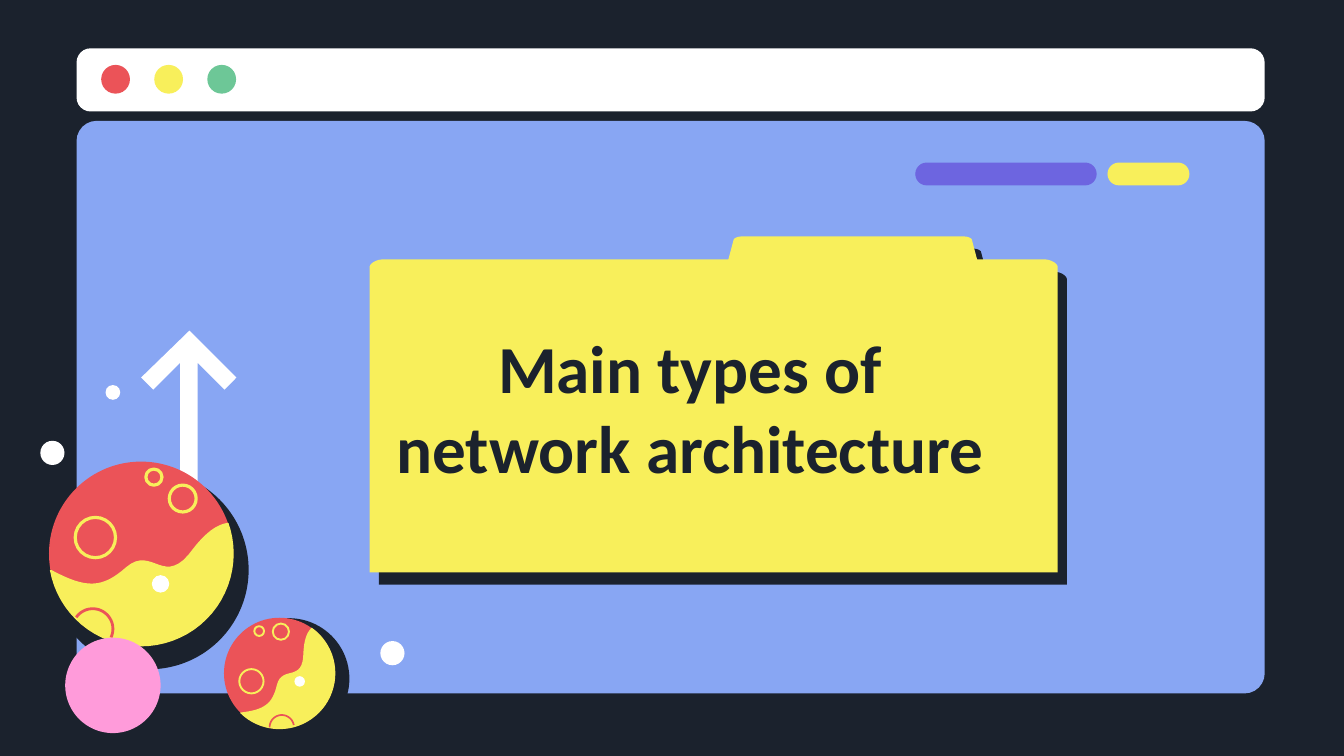
from dataclasses import dataclass
from math import cos, hypot, radians, sin

from lxml import etree
from pptx import Presentation
from pptx.dml.color import RGBColor
from pptx.enum.shapes import MSO_SHAPE as SHAPE
from pptx.enum.text import MSO_ANCHOR, MSO_AUTO_SIZE, PP_ALIGN
from pptx.oxml.ns import qn
from pptx.util import Inches, Pt

Point = tuple[float, float]

SLIDE_W = 10
SLIDE_H = SLIDE_W * 9 / 16
DARK, WHITE, BLUE = "1B222D", "FFFFFF", "88A6F3"
RED, YELLOW, GREEN = "EB5358", "F8EF5B", "6DC797"
PURPLE, PINK = "6D65E0", "FF9BDA"


@dataclass
class Dot:
    x: float
    y: float
    r: float
    color: str


@dataclass
class Bar:
    x: float
    y: float
    w: float
    h: float
    color: str
    rounding: float


@dataclass
class Planet:
    x: float
    y: float
    r: float
    turn: float
    shadow: Dot


BARS = [
    Bar(0.57, 0.9, 8.84, 4.26, BLUE, 0.035),
    Bar(0.57, 0.36, 8.84, 0.47, WHITE, 0.223),
    Bar(6.81, 1.21, 1.35, 0.17, PURPLE, 0.5),
    Bar(8.24, 1.21, 0.61, 0.17, YELLOW, 0.5),
]
BUTTONS = [Dot(0.86 + 0.395 * i, 0.59, 0.107, color)
           for i, color in enumerate((RED, YELLOW, GREEN))]
ARROW = [(1.34, 4.29), (1.34, 2.7), (1.14, 2.9), (1.05, 2.81), (1.41, 2.46),
         (1.76, 2.81), (1.67, 2.9), (1.47, 2.7), (1.47, 4.29)]
# A step of one point is a line, a step of three points is a Bézier curve.
FOLDER = [
    [(7.87, 1.99)], [(7.87, 4.26)], [(2.75, 4.26)], [(2.75, 1.99)],
    [(2.75, 1.96), (2.8, 1.93), (2.86, 1.93)], [(5.42, 1.93)], [(5.46, 1.78)],
    [(5.47, 1.77), (5.49, 1.76), (5.52, 1.76)], [(7.17, 1.76)],
    [(7.2, 1.76), (7.22, 1.77), (7.23, 1.78)], [(7.27, 1.93)], [(7.76, 1.93)],
    [(7.82, 1.93), (7.87, 1.96), (7.87, 1.99)],
]
# Planet details are measured from the centre of a planet of this radius.
PLANET_R = 0.685
COAST = [
    [(-0.67, 0.12)],
    [(-0.41, 0.26), (-0.29, 0.26), (-0.11, 0.1)],
    [(0.09, -0.07), (0.17, 0.27), (0.39, -0.04)],
    [(0.5, -0.18), (0.58, -0.22), (0.65, -0.23)],
]
CRATERS = [Dot(0.31, -0.41, 0.1, YELLOW), Dot(-0.34, -0.12, 0.15, YELLOW),
           Dot(0.095, -0.57, 0.06, YELLOW)]
PLANETS = [
    Planet(1.05, 4.12, PLANET_R, 0, Dot(1.11, 4.24, 0.74, DARK)),
    Planet(2.08, 5.01, 0.413, -35.2, Dot(2.15, 5.05, 0.45, DARK)),
]


def rgb(color: str) -> RGBColor:
    return RGBColor.from_string(color)


def paint(sp, fill: str | None = None, line: str | None = None, width: float = 1):
    sp.shadow.inherit = False
    if fill:
        sp.fill.solid()
        sp.fill.fore_color.rgb = rgb(fill)
    else:
        sp.fill.background()
    if line:
        sp.line.color.rgb = rgb(line)
        sp.line.width = Pt(width)
    else:
        sp.line.fill.background()
    return sp


def add_bar(shapes, bar: Bar):
    sp = shapes.add_shape(SHAPE.ROUNDED_RECTANGLE, Inches(bar.x), Inches(bar.y),
                          Inches(bar.w), Inches(bar.h))
    sp.adjustments[0] = bar.rounding
    return paint(sp, bar.color)


def add_dot(shapes, dot: Dot, ring_width: float | None = None):
    """Draw a filled circle, or a ring when ring_width is given."""
    sp = shapes.add_shape(SHAPE.OVAL, Inches(dot.x - dot.r), Inches(dot.y - dot.r),
                          Inches(2 * dot.r), Inches(2 * dot.r))
    if ring_width:
        return paint(sp, line=dot.color, width=ring_width)
    return paint(sp, dot.color)


def add_path(shapes, points: list[Point], closed: bool = True, **look):
    emu = [(Inches(x), Inches(y)) for x, y in points]
    builder = shapes.build_freeform(*emu[0])
    builder.add_line_segments(emu[1:], close=closed)
    return paint(builder.convert_to_shape(), **look)


def trace(steps: list[list[Point]], n: int = 16) -> list[Point]:
    """Turn lines and Bézier curves into a list of points."""
    points = []
    for step in steps:
        if len(step) == 1:
            points += step
            continue
        ctrl = [points[-1], *step]
        for t in (i / n for i in range(1, n + 1)):
            weights = ((1 - t) ** 3, 3 * t * (1 - t) ** 2, 3 * t * t * (1 - t), t ** 3)
            points.append(tuple(sum(w * p[axis] for w, p in zip(weights, ctrl))
                                for axis in (0, 1)))
    return points


def arc(x: float, y: float, r: float, start: int, end: int) -> list[Point]:
    return [(x + r * cos(radians(a)), y + r * sin(radians(a)))
            for a in range(start, end + 1, 5)]


def add_planet(shapes, planet: Planet):
    scale, turn = planet.r / PLANET_R, radians(planet.turn)

    def place(p: Point) -> Point:
        return (planet.x + scale * (p[0] * cos(turn) - p[1] * sin(turn)),
                planet.y + scale * (p[0] * sin(turn) + p[1] * cos(turn)))

    def place_dot(dot: Dot) -> Dot:
        return Dot(*place((dot.x, dot.y)), dot.r * scale, dot.color)

    group = shapes.add_group_shape().shapes
    add_dot(group, planet.shadow)
    add_dot(group, Dot(planet.x, planet.y, planet.r, RED))
    for crater in CRATERS:
        add_dot(group, place_dot(crater), ring_width=1.7 * scale)
    land = trace(COAST) + arc(0, 0, hypot(0.65, 0.23), -15, 170)
    add_path(group, [place(p) for p in land], fill=YELLOW)
    rim = arc(-0.36, 0.56, 0.15, -145, 25)
    add_path(group, [place(p) for p in rim], closed=False, line=RED, width=1.5 * scale)
    add_dot(group, place_dot(Dot(0.145, 0.225, 0.065, WHITE)))


def add_shadow(sp, color: str, distance: float, angle: float):
    effects = sp.element.spPr.find(qn("a:effectLst"))
    shadow = etree.SubElement(effects, qn("a:outerShdw"), dist=str(Pt(distance)),
                              dir=str(int(angle * 60000)), algn="bl", rotWithShape="0")
    etree.SubElement(shadow, qn("a:srgbClr"), val=color)


def write(tf, text: str, *, size: float, color: str, font: str = "Calibri",
          bold: bool = False, align=PP_ALIGN.CENTER):
    p = tf.paragraphs[0]
    p.alignment = align
    r = p.add_run()
    r.text = text
    r.font.size, r.font.name, r.font.bold = Pt(size), font, bold
    r.font.color.rgb = rgb(color)


def main():
    prs = Presentation()
    prs.slide_width, prs.slide_height = Inches(SLIDE_W), Inches(SLIDE_H)
    s = prs.slides.add_slide(prs.slide_layouts[5])
    s.background.fill.solid()
    s.background.fill.fore_color.rgb = rgb(DARK)
    shapes = s.shapes

    for bar in BARS:
        add_bar(shapes, bar)
    for button in BUTTONS:
        add_dot(shapes, button)
    add_dot(shapes, Dot(0.39, 3.37, 0.09, WHITE))
    add_path(shapes, ARROW, fill=WHITE)
    add_shadow(add_path(shapes, trace(FOLDER), fill=YELLOW), DARK, 8.2, 53)

    big, small = PLANETS
    add_planet(shapes, big)
    add_dot(shapes, Dot(0.84, 5.1, 0.355, PINK))
    add_planet(shapes, small)
    add_dot(shapes, Dot(2.92, 4.86, 0.09, WHITE))
    add_dot(shapes, Dot(0.84, 2.92, 0.055, WHITE))

    title = shapes.title
    title.left, title.top = Inches(2.7), Inches(2.53)
    title.width, title.height = Inches(4.87), Inches(0.99)
    tf = title.text_frame
    tf.word_wrap, tf.auto_size = True, MSO_AUTO_SIZE.NONE
    tf.vertical_anchor = MSO_ANCHOR.MIDDLE
    tf.margin_left = tf.margin_right = tf.margin_top = tf.margin_bottom = Inches(0.1)
    write(tf, "Main types of network architecture", size=36, color=DARK, bold=True)
    shapes.element.append(title.element)  # bring the title to the front

    prs.save("out.pptx")


if __name__ == "__main__":
    main()
